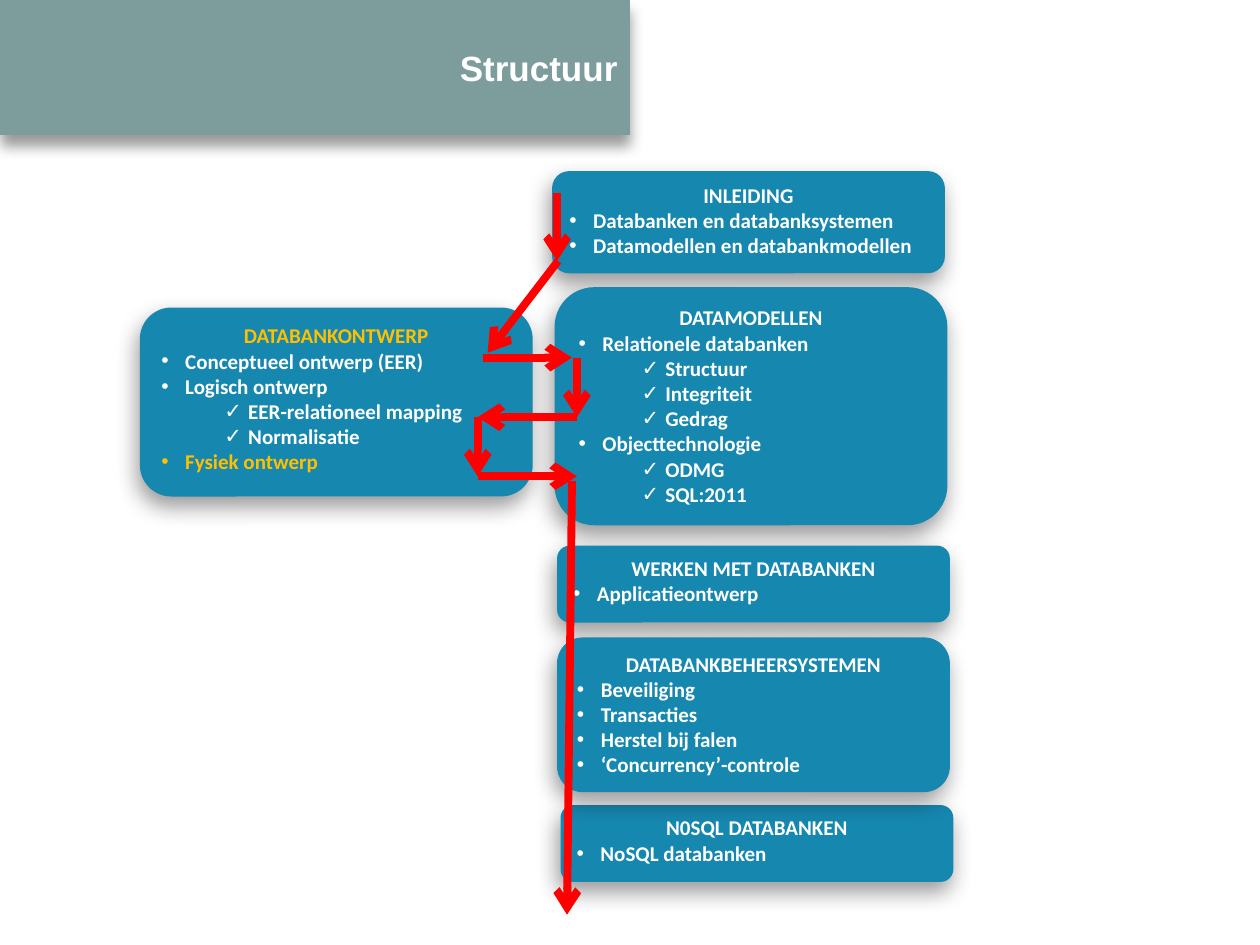
from lxml import etree
from pptx import Presentation, util as u
from pptx.dml.color import RGBColor
from pptx.enum import shapes as sh, text as tx
from pptx.oxml.ns import qn

THEME = {
    "band": "7D9D9D", "box": "1687AF", "text": "FFFFFF", "mark": "FFC000",
    "arrow": "FF0000", "shade": "000000",
    "head": ("Arial", 20), "body": ("Calibri", 12), "stroke": 4.5,
}
SLIDE = (25.4, 19.05)
TITLE = ("Structuur", 12.7, 2.72)
WIDTH = 7.92
HANG = 0.48
STEP = 1.27
BULLETS = "•✓"

# left, top, height, heading, items as (level, wording)
BOXES = [
    (11.3, 16.23, 1.55, "N0SQL DATABANKEN", [(0, "NoSQL databanken")]),
    (11.13, 3.45, 2.06, "INLEIDING", [
        (0, "Databanken en databanksystemen"),
        (0, "Datamodellen en databankmodellen")]),
    (2.82, 6.2, 3.81, "DATABANKONTWERP", [
        (0, "Conceptueel ontwerp (EER)"), (0, "Logisch ontwerp"),
        (1, "EER-relationeel mapping"), (1, "Normalisatie"),
        (0, "Fysiek ontwerp")]),
    (11.18, 5.79, 4.8, "DATAMODELLEN", [
        (0, "Relationele databanken"), (1, "Structuur"), (1, "Integriteit"),
        (1, "Gedrag"), (0, "Objecttechnologie"), (1, "ODMG"),
        (1, "SQL:2011")]),
    (11.23, 11.0, 1.55, "WERKEN MET DATABANKEN", [(0, "Applicatieontwerp")]),
    (11.23, 12.85, 3.12, "DATABANKBEHEERSYSTEMEN", [
        (0, "Beveiliging"), (0, "Transacties"), (0, "Herstel bij falen"),
        (0, "‘Concurrency’-controle")]),
]
MARKED = {"DATABANKONTWERP", "Fysiek ontwerp"}

# from x, from y, to x, to y
ARROWS = [
    (11.25, 5.26, 9.83, 7.11),
    (9.73, 7.21, 11.53, 7.21),
    (11.63, 8.41, 9.63, 8.41),
    (9.63, 9.6, 11.63, 9.6),
    (11.63, 7.21, 11.63, 8.41),
    (9.63, 8.41, 9.63, 9.6),
    (11.53, 9.7, 11.43, 18.44),
    (11.23, 3.89, 11.23, 5.26),
]


def tint(name):
    return RGBColor.from_string(THEME[name])


def add(parent, tag, **attrs):
    return etree.SubElement(parent, qn(tag), attrs)


def shade(shape, blur, angle):
    """Give the shape a soft outer shadow; blur in points, angle in degrees."""
    shape.shadow.inherit = False
    glow = add(shape.element.spPr.find(qn("a:effectLst")), "a:outerShdw",
               blurRad=str(u.Pt(blur)), dist=str(u.Pt(6)),
               dir=str(angle * 60000), algn="ctr", rotWithShape="0")
    color = add(glow, "a:srgbClr", val=THEME["shade"])
    add(color, "a:alpha", val="40000")


def block(slide, kind, area, fill, lines, blur, angle):
    shape = slide.shapes.add_shape(kind, *map(u.Cm, area))
    shape.fill.solid()
    shape.fill.fore_color.rgb = tint(fill)
    shape.line.fill.background()
    shade(shape, blur, angle)
    shape.text_frame.word_wrap = True
    shape.text_frame.text = "\n".join(lines)
    return shape.text_frame


def style(para, face, color, align):
    para.alignment = align
    for run in para.runs:
        font = run.font
        font.name, font.size, font.bold = face[0], u.Pt(face[1]), True
        font.color.rgb = tint(color)


def bullet(para, level):
    para.level = level
    props = para._p.get_or_add_pPr()
    props.set("marL", str(u.Cm(HANG + level * STEP)))
    props.set("indent", str(-u.Cm(HANG)))
    add(props, "a:buFont", typeface="Arial")
    add(props, "a:buChar", char=BULLETS[level])


def draw_title(slide):
    label, width, height = TITLE
    frame = block(slide, sh.MSO_SHAPE.RECTANGLE, (0, 0, width, height),
                  "band", [label], 8, 90)
    frame.vertical_anchor = tx.MSO_ANCHOR.MIDDLE
    style(frame.paragraphs[0], THEME["head"], "text", tx.PP_ALIGN.RIGHT)


def draw_box(slide, left, top, height, head, items):
    lines = [head] + [label for _, label in items]
    frame = block(slide, sh.MSO_SHAPE.ROUNDED_RECTANGLE,
                  (left, top, WIDTH, height), "box", lines, 13, 106)
    frame.vertical_anchor = tx.MSO_ANCHOR.TOP
    for para, (level, _) in zip(frame.paragraphs[1:], items):
        bullet(para, level)
    for i, para in enumerate(frame.paragraphs):
        color = "mark" if para.text in MARKED else "text"
        align = tx.PP_ALIGN.LEFT if i else tx.PP_ALIGN.CENTER
        style(para, THEME["body"], color, align)


def draw_arrow(slide, ends):
    line = slide.shapes.add_connector(sh.MSO_CONNECTOR.STRAIGHT,
                                      *map(u.Cm, ends))
    line.line.color.rgb = tint("arrow")
    line.line.width = u.Pt(THEME["stroke"])
    add(line.line._get_or_add_ln(), "a:tailEnd", type="arrow")
    add(line._element.spPr, "a:effectLst")


def main():
    deck = Presentation()
    deck.slide_width, deck.slide_height = map(u.Cm, SLIDE)
    slide = deck.slides.add_slide(deck.slide_layouts[6])
    draw_title(slide)
    for box in BOXES:
        draw_box(slide, *box)
    for ends in ARROWS:
        draw_arrow(slide, ends)
    deck.save("out.pptx")


if __name__ == "__main__":
    main()
